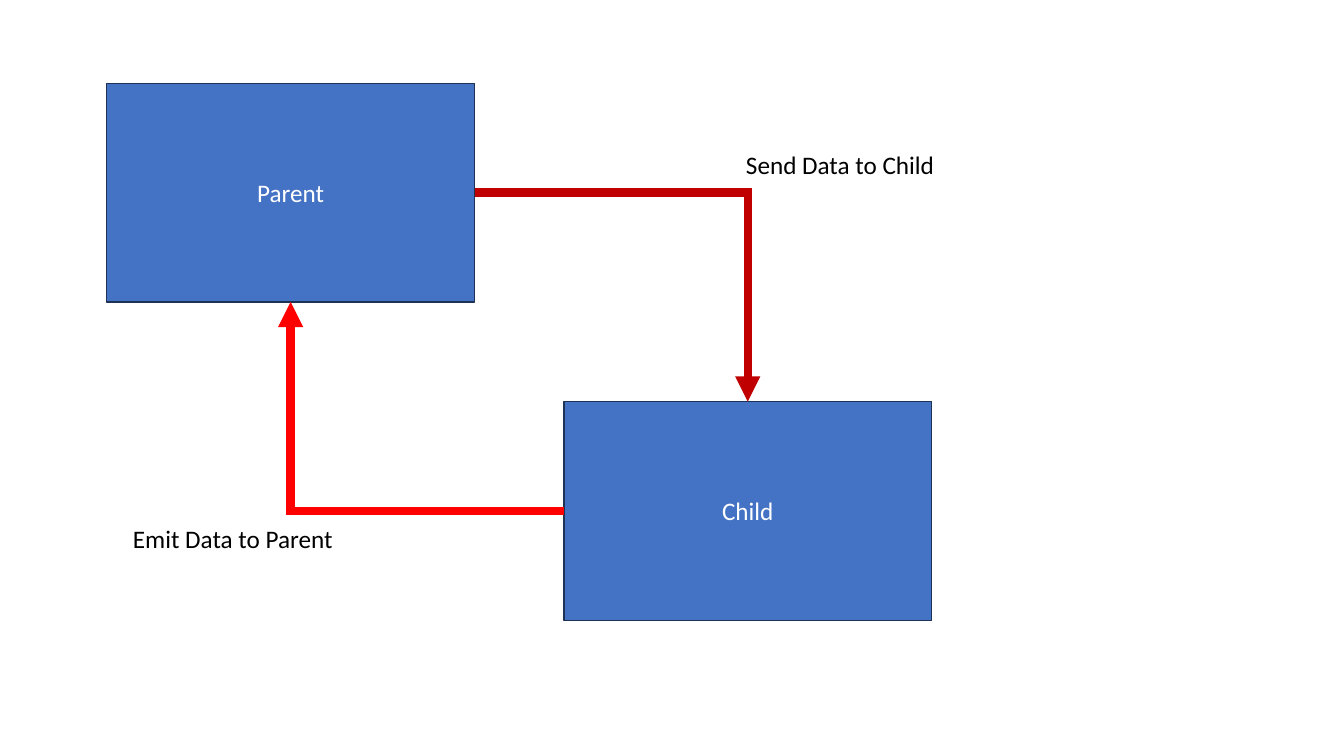
from dataclasses import dataclass

from lxml import etree
from pptx import Presentation
from pptx.dml.color import RGBColor
from pptx.enum.shapes import MSO_CONNECTOR, MSO_SHAPE
from pptx.enum.text import MSO_ANCHOR, MSO_AUTO_SIZE, PP_ALIGN
from pptx.oxml.ns import qn
from pptx.util import Cm, Pt

RECTANGLE = MSO_SHAPE.RECTANGLE
ELBOW = MSO_CONNECTOR.ELBOW
MIDDLE, TOP = MSO_ANCHOR.MIDDLE, MSO_ANCHOR.TOP
CENTER, LEFT = PP_ALIGN.CENTER, PP_ALIGN.LEFT
FIT_SHAPE = MSO_AUTO_SIZE.SHAPE_TO_FIT_TEXT
TOP_SITE, LEFT_SITE, BOTTOM_SITE, RIGHT_SITE = range(4)


@dataclass
class Theme:
    font: str = "Calibri"
    text_size: Pt = Pt(18)
    outline_width: Pt = Pt(1)
    arrow_width: Pt = Pt(6)
    box_fill: RGBColor = RGBColor(0x44, 0x72, 0xC4)
    box_outline: RGBColor = RGBColor(0x1E, 0x32, 0x56)
    box_text: RGBColor = RGBColor(0xFF, 0xFF, 0xFF)
    label_text: RGBColor = RGBColor(0x00, 0x00, 0x00)
    send: RGBColor = RGBColor(0xC0, 0x00, 0x00)
    emit: RGBColor = RGBColor(0xFF, 0x00, 0x00)


theme = Theme()


def write_text(shape, text, color, align=LEFT, anchor=TOP):
    frame = shape.text_frame
    frame.word_wrap = True
    frame.vertical_anchor = anchor
    para = frame.paragraphs[0]
    para.alignment = align
    span = para.add_run()
    span.text = text
    span.font.name = theme.font
    span.font.size = theme.text_size
    span.font.color.rgb = color


deck = Presentation()
deck.slide_width, deck.slide_height = Cm(33.87), Cm(19.05)
page = deck.slides.add_slide(deck.slide_layouts[6])

boxes = {}
for name, left, top in [("Parent", 2.69, 2.1), ("Child", 14.21, 10.12)]:
    box = page.shapes.add_shape(RECTANGLE, Cm(left), Cm(top), Cm(9.27), Cm(5.51))
    box.shadow.inherit = False
    box.fill.solid()
    box.fill.fore_color.rgb = theme.box_fill
    box.line.color.rgb = theme.box_outline
    box.line.width = theme.outline_width
    write_text(box, name, theme.box_text, align=CENTER, anchor=MIDDLE)
    boxes[name] = box

flows = [
    ("Send Data to Child", "Parent", RIGHT_SITE, "Child", TOP_SITE, theme.send,
     18.55, 3.63, 9.37),
    ("Emit Data to Parent", "Child", LEFT_SITE, "Parent", BOTTOM_SITE, theme.emit,
     3.1, 13.07, 6.73),
]
for text, source, source_site, target, target_site, color, left, top, width in flows:
    arrow = page.shapes.add_connector(ELBOW, 0, 0, 0, 0)
    arrow.begin_connect(boxes[source], source_site)
    arrow.end_connect(boxes[target], target_site)
    arrow.line.color.rgb = color
    arrow.line.width = theme.arrow_width
    properties = arrow._element.spPr
    properties.find(qn("a:prstGeom")).set("prst", "bentConnector2")
    outline = properties.find(qn("a:ln"))
    etree.SubElement(outline, qn("a:miter"), lim="800000")
    etree.SubElement(outline, qn("a:tailEnd"), type="triangle")
    etree.SubElement(properties, qn("a:effectLst"))

    label = page.shapes.add_textbox(Cm(left), Cm(top), Cm(width), Cm(1.03))
    write_text(label, text, theme.label_text)
    label.text_frame.auto_size = FIT_SHAPE

deck.save("out.pptx")
